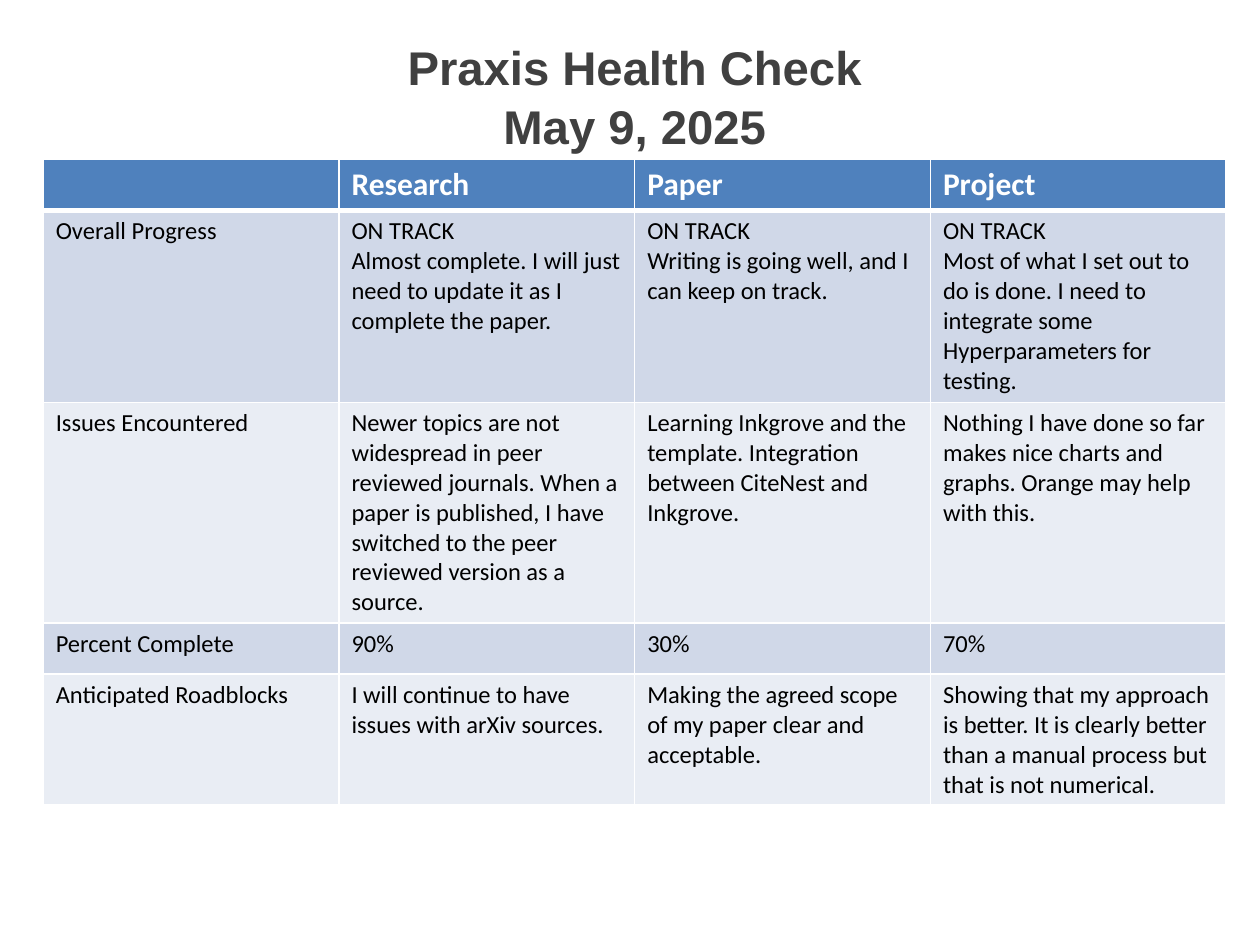
from lxml.etree import SubElement as Sub
from pptx import Presentation
from pptx.dml.color import RGBColor as Rgb
from pptx.enum.text import MSO_ANCHOR as Anchor, PP_ALIGN as Align
from pptx.oxml.ns import qn
from pptx.util import Cm, Pt

HEADS = ["", "Research", "Paper", "Project"]
ROWS = [
    ["Overall Progress",
     "ON TRACK\nAlmost complete. I will just need to update it as I complete the paper.",
     "ON TRACK\nWriting is going well, and I can keep on track.",
     "ON TRACK\nMost of what I set out to do is done. I need to integrate some "
     "Hyperparameters for testing."],
    ["Issues Encountered",
     "Newer topics are not widespread in peer reviewed journals. When a paper is "
     "published, I have switched to the peer reviewed version as a source.",
     "Learning Inkgrove and the template. Integration between CiteNest and Inkgrove.",
     "Nothing I have done so far makes nice charts and graphs. Orange may help with this."],
    ["Percent Complete", "90%", "30%", "70%"],
    ["Anticipated Roadblocks",
     "I will continue to have issues with arXiv sources.",
     "Making the agreed scope of my paper clear and acceptable.",
     "Showing that my approach is better. It is clearly better than a manual process "
     "but that is not numerical."],
]
HIGHS = [1.03, 3.87, 4.45, 1.03, 2.64]
BANDS = ["D0D8E8", "E9EDF4"]


def color(code):
    return Rgb.from_string(code)


def style(par, name, size, code, bold):
    font = par.font
    font.name, font.size, font.bold = name, Pt(size), bold
    font.color.rgb = color(code)


def border(cell, top, bottom):
    props = cell._tc.get_or_add_tcPr()
    for side, width in zip("LRTB", (1, 1, top, bottom)):
        line = Sub(props, qn(f"a:ln{side}"), w=str(Pt(width)))
        fill = Sub(line, qn("a:solidFill"))
        Sub(fill, qn("a:srgbClr"), val="FFFFFF")


def add_title(slide, left, top, width, height):
    box = slide.shapes.add_textbox(Cm(left), Cm(top), Cm(width), Cm(height))
    frame = box.text_frame
    frame.word_wrap = True
    frame.vertical_anchor = Anchor.TOP
    par = frame.paragraphs[0]
    par.text = "Praxis Health Check\vMay 9, 2025"
    par.alignment = Align.CENTER
    par.line_spacing = 1.05
    style(par, "Arial", 27, "404040", True)


def add_grid(slide, left, top, width):
    data = [HEADS] + ROWS
    grid = slide.shapes.add_table(len(data), len(HEADS), Cm(left), Cm(top),
                                  Cm(width), Cm(sum(HIGHS))).table
    for row, high in zip(grid.rows, HIGHS):
        row.height = Cm(high)
    for r, texts in enumerate(data):
        head = r == 0
        for c, text in enumerate(texts):
            cell = grid.cell(r, c)
            cell.text = text
            border(cell, 3 if r == 1 else 1, 3 if head else 1)
            cell.fill.solid()
            cell.fill.fore_color.rgb = color("4F81BD" if head else BANDS[(r - 1) % 2])
            for par in cell.text_frame.paragraphs:
                style(par, "Calibri", 18 if head else 14,
                      "FFFFFF" if head else "000000", head)


def main():
    deck = Presentation()
    deck.slide_width, deck.slide_height = Cm(25.4), Cm(19.05)
    slide = deck.slides.add_slide(deck.slide_layouts[6])
    left, width = 0.87, 23.85
    add_title(slide, left, 0.58, width, 2.18)
    add_grid(slide, left, 3.21, width)
    deck.save("out.pptx")


if __name__ == "__main__":
    main()
